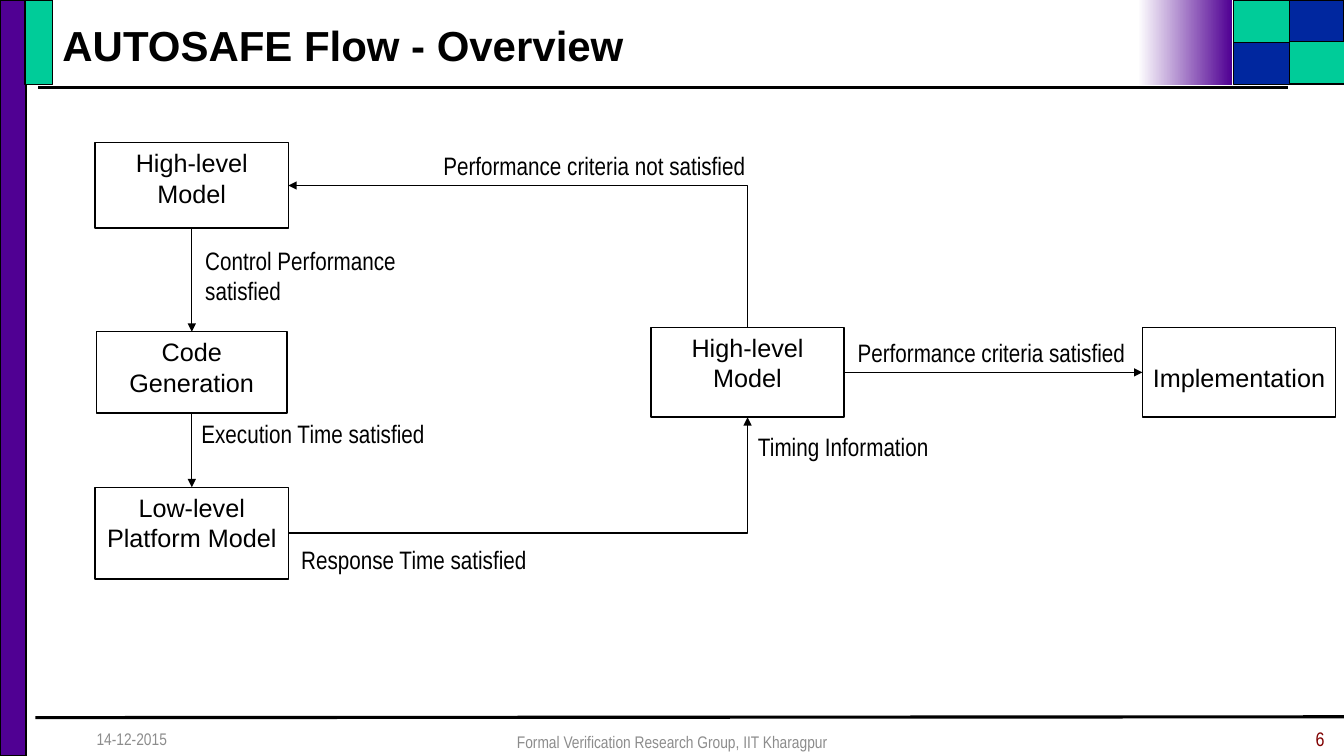
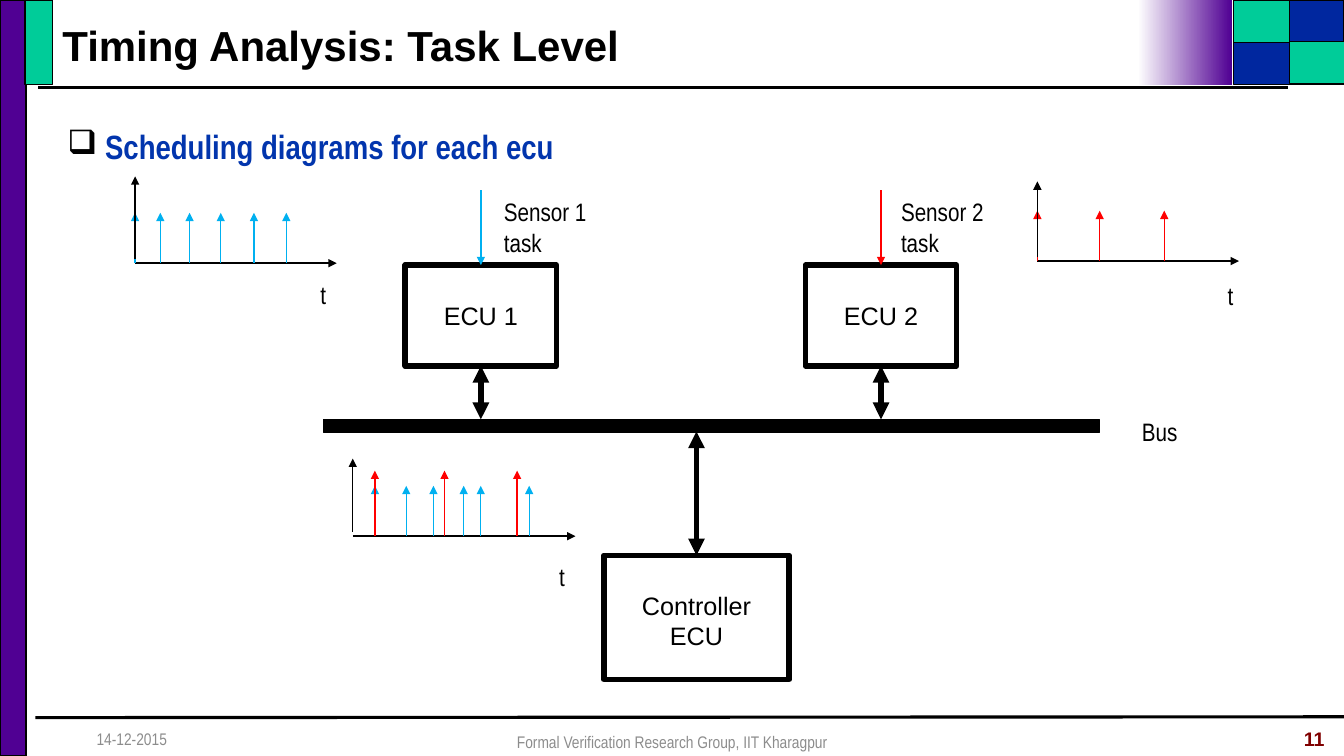
from dataclasses import dataclass

from lxml import etree
from pptx import Presentation
from pptx.dml.color import RGBColor
from pptx.enum import shapes, text
from pptx.oxml import ns
from pptx.util import Pt


# Colours, fonts and type sizes
@dataclass(frozen=True)
class Theme:
    black: str = "000000"
    white: str = "FFFFFF"
    purple: str = "500093"
    navy: str = "00279F"
    green: str = "00CC99"
    heading: str = "0235AD"
    grey: str = "8C8C8C"
    maroon: str = "800000"
    blue: str = "00B0F0"
    red: str = "FF0000"
    sans: str = "Arial"
    narrow: str = "Arial Narrow"
    title: int = 30
    bullet: int = 24
    body: int = 18
    number: int = 14
    footer: int = 12
    thin: float = 1
    rule: float = 2.25
    thick: float = 4


TOP, LEFT, BOTTOM, RIGHT = range(4)  # connection sites of a rectangle
LINE_HEIGHT = 21.4
ALIGN = text.PP_ALIGN
ANCHOR = text.MSO_ANCHOR


class Deck:
    def __init__(self, theme):
        self.t = theme
        self.prs = Presentation()
        self.prs.slide_width, self.prs.slide_height = Pt(960), Pt(540)
        self.slide = None

    # Slide with its title, bands and footer
    def new_slide(self, title, number, number_font, number_bold=False):
        t = self.t
        self.slide = self.prs.slides.add_slide(self.prs.slide_layouts[5])
        self.line(27.5, 62.8, 920, 62.8, width=t.rule)
        self.rect(0, 0, 18.7, 540, t.purple)
        self.line(25.2, 512.6, 960, 512, width=t.rule)
        self.rect(881.3, 0, 78.7, 60.5, t.navy)
        self.rect(881.3, 0, 39.6, 30.2, t.green)
        self.rect(920.9, 29.5, 41.8, 30.2, t.green)
        self.rect(18, 0, 19.4, 60.5, t.green)
        self.fade(812.9, 0, 67, 60.5, t.white, t.purple)

        sp = self.slide.shapes.title
        sp.left, sp.top, sp.width, sp.height = map(Pt, (37.4, 10, 791.3, 44))
        tf = sp.text_frame
        tf.auto_size = text.MSO_AUTO_SIZE.NONE
        tf.vertical_anchor = ANCHOR.MIDDLE
        self.run(tf.paragraphs[0], title, t.title, t.sans, bold=True)

        self.text(61.9, 513.4, 216, 28.8, "14-12-2015", t.footer, color=t.grey,
                  anchor=ANCHOR.MIDDLE)
        self.text(318.2, 515.5, 324, 28.8,
                  "Formal Verification Research Group, IIT Kharagpur", t.footer,
                  color=t.grey, align=ALIGN.CENTER, anchor=ANCHOR.MIDDLE)
        self.text(785.5, 515.5, 167.8, 25.2, number, t.number, number_font,
                  t.maroon, number_bold, ALIGN.RIGHT)

    # Text
    def run(self, p, words, size, font, color=None, bold=False,
            align=ALIGN.LEFT):
        p.alignment = align
        r = p.add_run()
        r.text = words
        r.font.size, r.font.name, r.font.bold = Pt(size), font, bold
        r.font.color.rgb = RGBColor.from_string(color or self.t.black)

    def text(self, x, y, w, h, words, size, font=None, color=None, bold=False,
             align=ALIGN.LEFT, anchor=ANCHOR.TOP):
        sp = self.slide.shapes.add_textbox(*map(Pt, (x, y, w, h)))
        tf = sp.text_frame
        tf.word_wrap = True
        tf.vertical_anchor = anchor
        p = tf.paragraphs[0]
        self.run(p, words, size, font or self.t.narrow, color, bold, align)
        return p

    def label(self, x, y, w, *lines):
        height = 7.2 + LINE_HEIGHT * len(lines)
        sp = self.slide.shapes.add_textbox(*map(Pt, (x, y, w, height)))
        tf = sp.text_frame
        tf.word_wrap = False
        tf.auto_size = text.MSO_AUTO_SIZE.SHAPE_TO_FIT_TEXT
        for i, words in enumerate(lines):
            p = tf.add_paragraph() if i else tf.paragraphs[0]
            self.run(p, words, self.t.body, self.t.narrow)

    def bullet(self, x, y, w, h, words):
        t = self.t
        p = self.text(x, y, w, h, words, t.bullet, color=t.heading, bold=True)
        p.line_spacing, p.space_before = 1.25, Pt(7.2)
        props = p._p.get_or_add_pPr()
        props.set("marL", str(Pt(27)))
        props.set("indent", str(Pt(-27)))
        colour = etree.SubElement(props, ns.qn("a:buClr"))
        etree.SubElement(colour, ns.qn("a:srgbClr"), val=t.black)
        etree.SubElement(props, ns.qn("a:buChar"), char="\u2751")

    # Shapes
    def rect(self, x, y, w, h, fill=None, width=None):
        sp = self.slide.shapes.add_shape(shapes.MSO_SHAPE.RECTANGLE,
                                         *map(Pt, (x, y, w, h)))
        sp.shadow.inherit = False
        if fill:
            sp.fill.solid()
            sp.fill.fore_color.rgb = RGBColor.from_string(fill)
        else:
            sp.fill.background()
        sp.line.color.rgb = RGBColor.from_string(self.t.black)
        sp.line.width = Pt(width or self.t.thin)
        return sp

    def fade(self, x, y, w, h, start, end):
        sp = self.rect(x, y, w, h)
        sp.line.fill.background()
        sp.fill.gradient()
        sp.fill.gradient_angle = 0
        for stop, color in zip(sp.fill.gradient_stops, (start, end)):
            stop.color.rgb = RGBColor.from_string(color)

    def box(self, x, y, w, h, words, width=None, lowered=False):
        sp = self.rect(x, y, w, h, width=width)
        tf = sp.text_frame
        tf.word_wrap = True
        tf.vertical_anchor = ANCHOR.TOP
        tf.margin_left = tf.margin_right = Pt(6)
        tf.margin_top = Pt(3.6 + LINE_HEIGHT * lowered)
        self.run(tf.paragraphs[0], words, self.t.body, self.t.sans,
                 align=ALIGN.CENTER)
        return sp

    # Lines and arrows
    def line(self, x1, y1, x2, y2, color=None, width=None, ends=(), bent=False):
        kind = shapes.MSO_CONNECTOR
        c = self.slide.shapes.add_connector(
            kind.ELBOW if bent else kind.STRAIGHT, *map(Pt, (x1, y1, x2, y2)))
        c.line.color.rgb = RGBColor.from_string(color or self.t.black)
        c.line.width = Pt(width or self.t.thin)
        props = c.element.spPr
        for end in ends:
            etree.SubElement(props.find(ns.qn("a:ln")), ns.qn(f"a:{end}End"),
                             type="triangle")
        etree.SubElement(props, ns.qn("a:effectLst"))
        if bent:
            props.find(ns.qn("a:prstGeom")).set("prst", "bentConnector2")
        return c

    def arrow(self, x1, y1, x2, y2, color=None):
        self.line(x1, y1, x2, y2, color, ends=("tail",))

    def double_arrow(self, x, y1, y2):
        self.line(x, y1, x, y2, width=self.t.thick, ends=("head", "tail"))

    def link(self, a, a_site, b, b_site, end="tail", bent=False):
        c = self.line(0, 0, 0, 0, ends=(end,), bent=bent)
        c.begin_connect(a, a_site)
        c.end_connect(b, b_site)

    # Time axis with one group of release arrows per task
    def timeline(self, x, base, length, top, groups, label_at):
        self.arrow(x, base, x + length, base)
        for color, height, ticks in groups:
            for tick in ticks:
                self.arrow(tick, base, tick, base - height, color)
        self.arrow(x, base - 3, x, top)
        self.label(*label_at, 18.7, "t")


theme = Theme()
deck = Deck(theme)

# Design flow
deck.new_slide("AUTOSAFE Flow - Overview", "6", theme.narrow)
model = deck.box(68, 102, 138, 61, "High-level Model")
code = deck.box(69, 237, 136, 58, "Code Generation")
platform = deck.box(68, 348, 138, 65.5, "Low-level Platform Model")
timed_model = deck.box(465, 234, 138, 64, "High-level Model")
result = deck.box(816, 234, 138, 64, "Implementation", lowered=True)

deck.link(model, BOTTOM, code, TOP)
deck.link(code, BOTTOM, platform, TOP)
deck.link(platform, RIGHT, timed_model, BOTTOM, bent=True)
deck.link(model, RIGHT, timed_model, TOP, end="head", bent=True)
deck.link(timed_model, RIGHT, result, LEFT)

for x, y, w, *lines in (
    (139.5, 171.4, 156, "Control Performance", "satisfied"),
    (136.8, 295.2, 180, "Execution Time satisfied"),
    (605.5, 237.6, 208, "Performance criteria satisfied"),
    (208, 385.2, 181.4, "Response Time satisfied"),
    (534.2, 304.6, 137.5, "Timing Information"),
    (309.6, 103.7, 232.6, "Performance criteria not satisfied"),
):
    deck.label(x, y, w, *lines)

# Task timing on the control units
deck.new_slide("Timing Analysis: Task Level", "11", theme.sans, True)
deck.bullet(41, 79.2, 879, 460.8, "Scheduling diagrams for each ecu")

for x, name, sensor, color, label_x in (
    (343.5, "ECU 1", "Sensor 1", theme.blue, 352.8),
    (629.3, "ECU 2", "Sensor 2", theme.red, 636.5),
):
    deck.box(x - 54, 189.4, 108, 72, name, theme.thick, lowered=True)
    deck.arrow(x, 136, x, 189.4, color)
    deck.label(label_x, 137, 76, sensor, "task")
    deck.double_arrow(x, 261.4, 299.5)

deck.box(431.3, 396.7, 132.5, 88.6, "Controller ECU", theme.thick, lowered=True)
deck.rect(231, 299.5, 554.4, 9.4, theme.black)
deck.label(808.6, 293.8, 40.3, "Bus")
deck.double_arrow(497.5, 308.2, 396.7)

sensor_1_ticks = (96.5, 114.5, 135.4, 157.7, 181.4, 204.5)
sensor_2_ticks = (741, 785.5, 831.6)
bus_1_ticks = (267.8, 290.2, 309.6, 331.2, 343.4, 378)
bus_2_ticks = (267.8, 317.5, 369.4)
deck.timeline(96.5, 188, 144, 126, [(theme.blue, 36, sensor_1_ticks)],
              (221.8, 195.8))
deck.timeline(741, 186.5, 144, 129.6, [(theme.red, 36, sensor_2_ticks)],
              (869.8, 196.6))
deck.timeline(252, 383, 159, 327.6, [(theme.blue, 36, bus_1_ticks),
                                     (theme.red, 46.8, bus_2_ticks)],
              (392.4, 397.4))

deck.prs.save("out.pptx")
